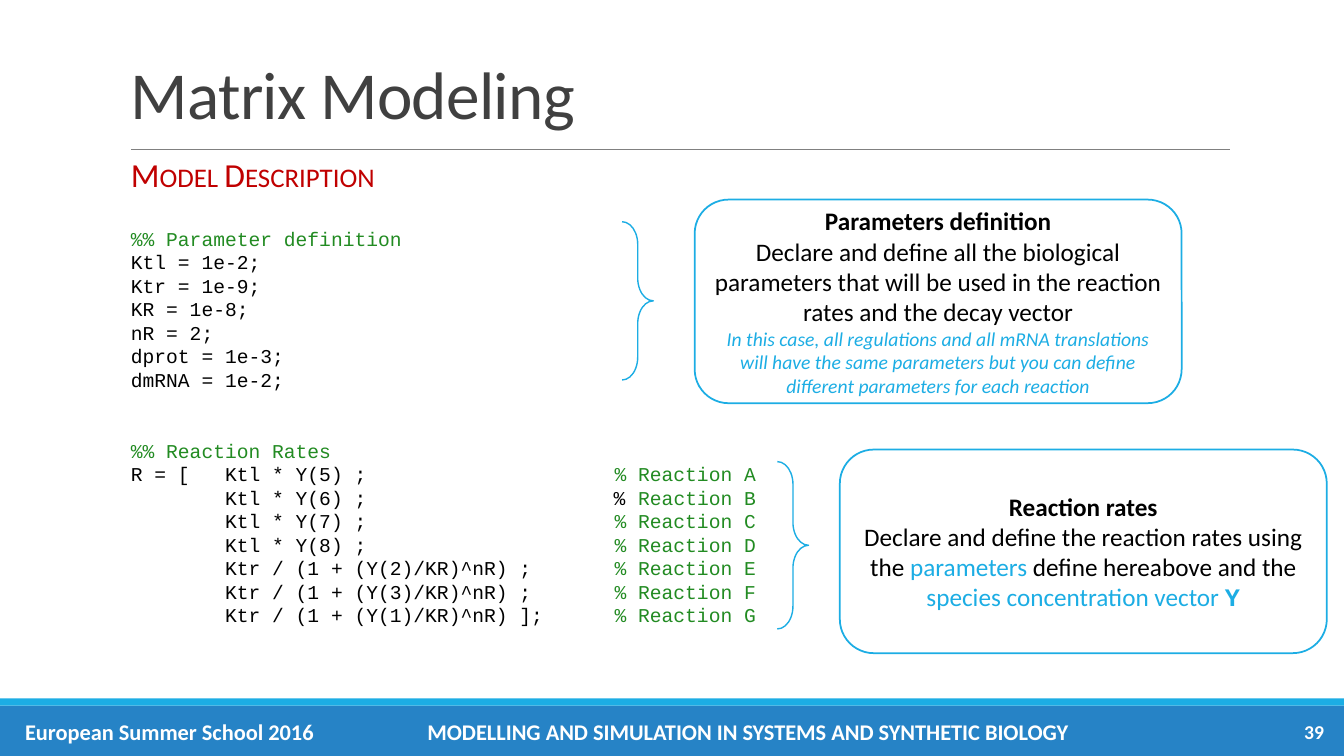
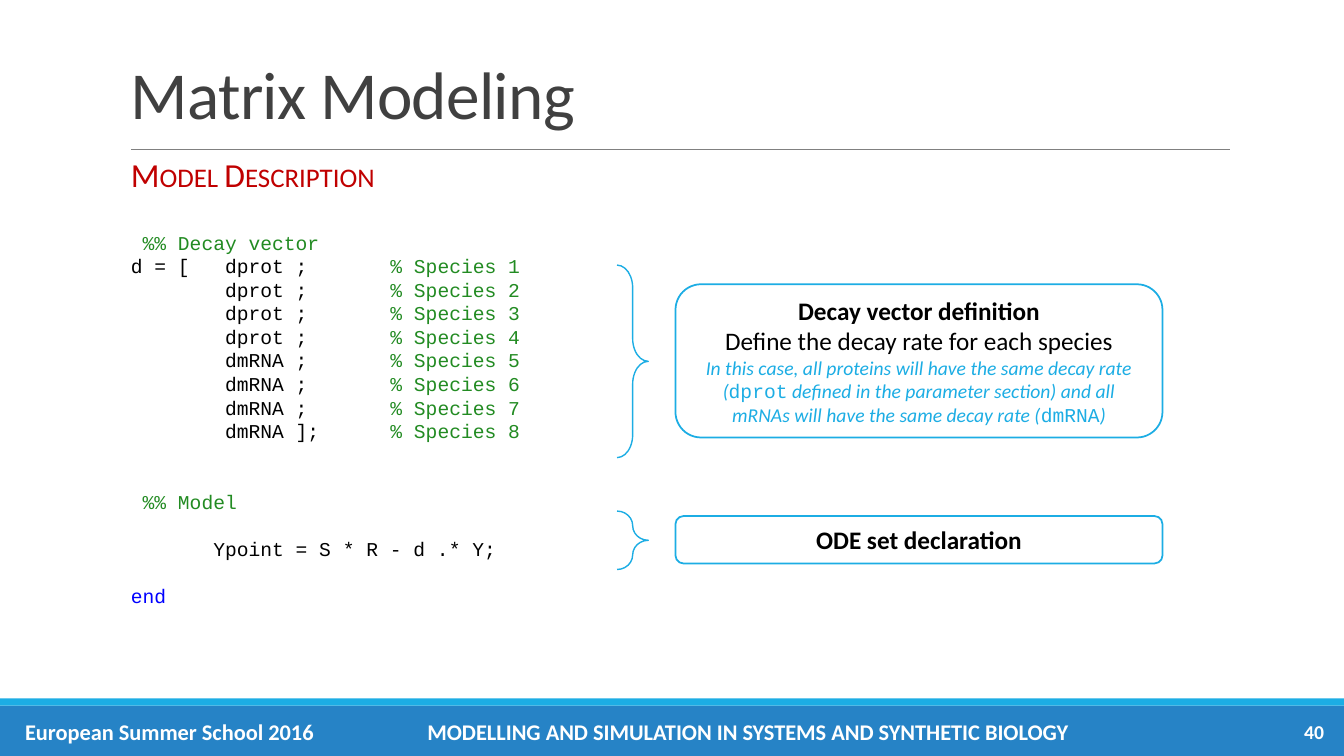
import pptx
import pptx.util
import pptx.dml.color
import pptx.enum.shapes
import pptx.enum.text
import pptx.oxml.ns
from lxml import etree

Inches = pptx.util.Inches
Pt = pptx.util.Pt
SHAPE = pptx.enum.shapes.MSO_SHAPE
ALIGN = pptx.enum.text.PP_ALIGN
ANCHOR = pptx.enum.text.MSO_ANCHOR

INK = {
    "band": "2683C6", "sky": "1CADE4", "rule": "808080", "title": "404040",
    "head": "C00000", "black": "000000", "white": "FFFFFF",
    "note": "228B22", "key": "0000FF",
}
SANS, MONO = "Calibri", "Courier New"
PITCH = 16.8  # code line height in points

# Text styles
BOLD = dict(size=18, bold=True)
BODY = dict(size=18)
ASIDE = dict(size=14, ink="sky", italic=True)
CODE = dict(size=14, name=MONO)
FOOT = dict(size=16, ink="white", bold=True)


def rgb(ink):
    return pptx.dml.color.RGBColor.from_string(INK[ink])


def style(font, look):
    for key, value in look.items():
        if key == "ink":
            font.color.rgb = rgb(value)
        elif key == "size":
            font.size = Pt(value)
        else:
            setattr(font, key, value)


def write(para, text, look, align=ALIGN.LEFT):
    """Fill a paragraph from a string or a list of (text, changes) runs."""
    para.alignment = align
    style(para.font, {"name": SANS, "ink": "black", **look})
    for part, change in [(text, {})] if isinstance(text, str) else text:
        run = para.add_run()
        run.text = part
        style(run.font, change)


def paras(frame, count):
    return [frame.paragraphs[0]] + [frame.add_paragraph() for _ in range(count - 1)]


def label(slide, at, text, look, align=ALIGN.LEFT, anchor=ANCHOR.MIDDLE, wrap=True):
    box = slide.shapes.add_textbox(*map(Inches, at))
    frame = box.text_frame
    frame.word_wrap = wrap
    frame.vertical_anchor = anchor
    write(frame.paragraphs[0], text, look, align)
    return frame.paragraphs[0]


def extra(para, key, value):
    """Set a run property that the font object lacks."""
    for run in para.runs:
        run.font._element.set(key, value)


def shape(slide, kind, at, fill=None, line=None, width=1):
    item = slide.shapes.add_shape(kind, *map(Inches, at))
    item.shadow.inherit = False
    if fill:
        item.fill.solid()
        item.fill.fore_color.rgb = rgb(fill)
    else:
        item.fill.background()
    if line:
        item.line.color.rgb = rgb(line)
        item.line.width = Pt(width)
    else:
        item.line.fill.background()
    return item


def brace(slide, left, top, high):
    item = shape(slide, SHAPE.RIGHT_BRACE, (left, top, 0.31, high), line="sky")
    item.adjustments[0] = 0.73


def card(slide, left, top, high, rows):
    """Rounded box holding centred (text, style) rows."""
    item = shape(slide, SHAPE.ROUNDED_RECTANGLE, (left, top, 4.83, high),
                 "white", "sky", 1.25)
    frame = item.text_frame
    frame.word_wrap = True
    frame.vertical_anchor = ANCHOR.MIDDLE
    for para, (text, look) in zip(paras(frame, len(rows)), rows):
        write(para, text, look, ALIGN.CENTER)


def code(slide, top, high, rows):
    """Listing of (blank lines above, runs) rows."""
    box = slide.shapes.add_textbox(Inches(1.2), Inches(top), Inches(6.67), Inches(high))
    frame = box.text_frame
    frame.word_wrap = True
    for para, (skip, text) in zip(paras(frame, len(rows)), rows):
        para.line_spacing = Pt(PITCH)
        if skip:
            para.space_before = Pt(skip * PITCH)
        write(para, text, CODE)


def note(text):
    return [(text, {"ink": "note"})]


def table(lines, column, notes):
    """Code lines, each with a comment starting at the given column."""
    return [(0, [(line.ljust(column), {})] + note(text))
            for line, text in zip(lines, notes)]


def base(deck, number):
    """New slide with the shared title, rule, heading and footer."""
    slide = deck.slides.add_slide(deck.slide_layouts[6])
    # Bands and rule
    shape(slide, SHAPE.RECTANGLE, (0, 7, 13.33, 0.5), "band")
    shape(slide, SHAPE.RECTANGLE, (0, 6.93, 13.33, 0.07), "sky")
    rule = slide.shapes.add_connector(
        pptx.enum.shapes.MSO_CONNECTOR.STRAIGHT,
        Inches(1.3), Inches(1.48), Inches(12.2), Inches(1.48))
    rule.line.color.rgb = rgb("rule")
    rule.line.width = Pt(0.5)
    etree.SubElement(rule._element.spPr, pptx.oxml.ns.qn("a:effectLst"))
    # Title and heading
    title = label(slide, (1.2, 0.31, 11, 1.06), "Matrix Modeling",
                  dict(size=48, ink="title"), anchor=ANCHOR.BOTTOM)
    title.line_spacing = 0.85
    extra(title, "spc", "-50")
    head = label(slide, (1.2, 1.48, 2.66, 0.5), "Model Description",
                 dict(size=24, ink="head"), anchor=ANCHOR.TOP, wrap=False)
    extra(head, "cap", "small")
    # Footer
    label(slide, (0.15, 7.06, 3.11, 0.4), "European Summer School 2016", FOOT)
    label(slide, (3.62, 7.06, 7.6, 0.4),
          "MODELLING AND SIMULATION IN SYSTEMS AND SYNTHETIC BIOLOGY",
          FOOT, ALIGN.CENTER)
    label(slide, (11.8, 7.06, 1.43, 0.4), str(number), {**FOOT, "size": 14}, ALIGN.RIGHT)
    return slide


def rates(deck):
    slide = base(deck, 39)
    # Listing
    values = ["Ktl = 1e-2;", "Ktr = 1e-9;", "KR = 1e-8;", "nR = 2;",
              "dprot = 1e-3;", "dmRNA = 1e-2;"]
    terms = [f"Ktl * Y({n}) ;" for n in (5, 6, 7, 8)]
    terms += [f"Ktr / (1 + (Y({n})/KR)^nR) {end}"
              for n, end in ((2, ";"), (3, ";"), (1, "];"))]
    lines = [("R = [" if n == 0 else "").ljust(8) + term for n, term in enumerate(terms)]
    react = table(lines, 41, [f"% Reaction {mark}" for mark in "ABCDEFG"])
    react[1] = (0, [(lines[1].ljust(41) + "% ", {})] + note("Reaction B"))
    code(slide, 2.2, 4.11,
         [(0, note("%% Parameter definition"))] + [(0, line) for line in values]
         + [(2, note("%% Reaction Rates"))] + react)
    # Remarks
    brace(slide, 6.17, 2.2, 1.57)
    card(slide, 6.89, 1.98, 2.02, [
        ("Parameters definition", BOLD),
        ("Declare and define all the biological parameters that will be used "
         "in the reaction rates and the decay vector", BODY),
        ("In this case, all regulations and all mRNA translations will have the same "
         "parameters but you can define different parameters for each reaction", ASIDE),
    ])
    brace(slide, 7.71, 4.58, 1.66)
    sky = {"ink": "sky"}
    card(slide, 8.33, 4.46, 2.02, [
        ("Reaction rates", BOLD),
        ([("Declare and define the reaction rates using the ", {}),
          ("parameters ", sky),
          ("define hereabove and the ", {}),
          ("species concentration vector ", sky),
          ("Y", {**sky, "name": MONO, "bold": True})], BODY),
    ])


def decay(deck):
    slide = base(deck, 40)
    # Listing
    names = ["dprot"] * 4 + ["dmRNA"] * 4
    lines = [("d = [" if n == 0 else "").ljust(8) + name + (" ];" if n == 7 else " ;")
             for n, name in enumerate(names)]
    code(slide, 2.24, 3.87,
         [(0, note(" %% Decay vector"))]
         + table(lines, 22, [f"% Species {n}" for n in range(1, 9)])
         + [(2, note(" %% Model")),
            (1, "       Ypoint = S * R - d .* Y;"),
            (1, [("end", {"ink": "key"})])])
    # Remarks
    mono = {"name": MONO, "italic": False}
    brace(slide, 6.12, 2.63, 1.91)
    card(slide, 6.7, 2.82, 1.52, [
        ("Decay vector definition", BOLD),
        ("Define the decay rate for each species", BODY),
        ([("In this case, all proteins will have the same decay rate (", {}),
          ("dprot", mono),
          (" defined in the parameter section) and all mRNAs will have "
           "the same decay rate (", {}),
          ("dmRNA", mono),
          (")", {})], ASIDE),
    ])
    brace(slide, 6.12, 5.07, 0.58)
    card(slide, 6.7, 5.12, 0.47, [("ODE set declaration", BOLD)])


def main():
    deck = pptx.Presentation()
    deck.slide_width, deck.slide_height = Inches(13.33), Inches(7.5)
    rates(deck)
    decay(deck)
    deck.save("out.pptx")


if __name__ == "__main__":
    main()
